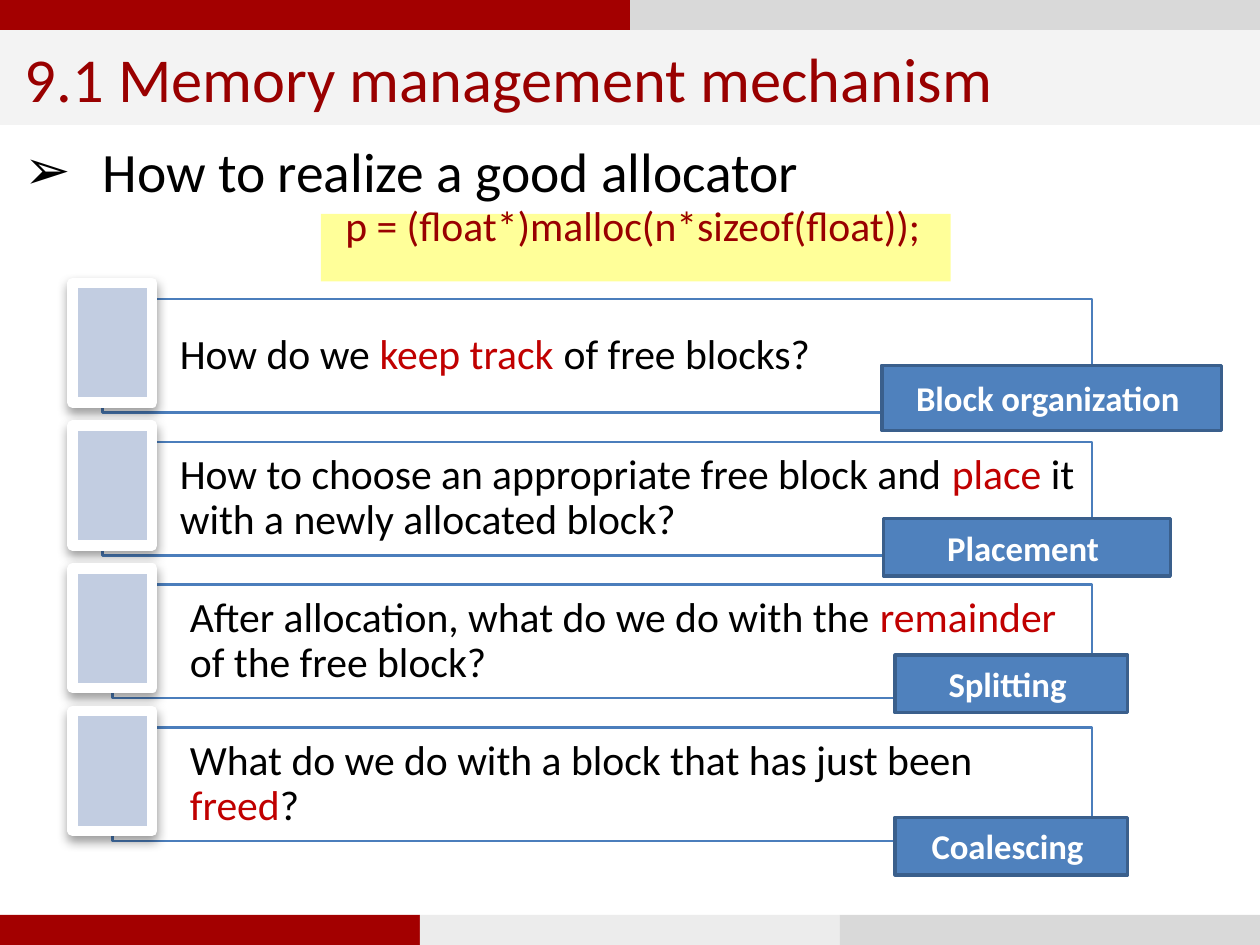
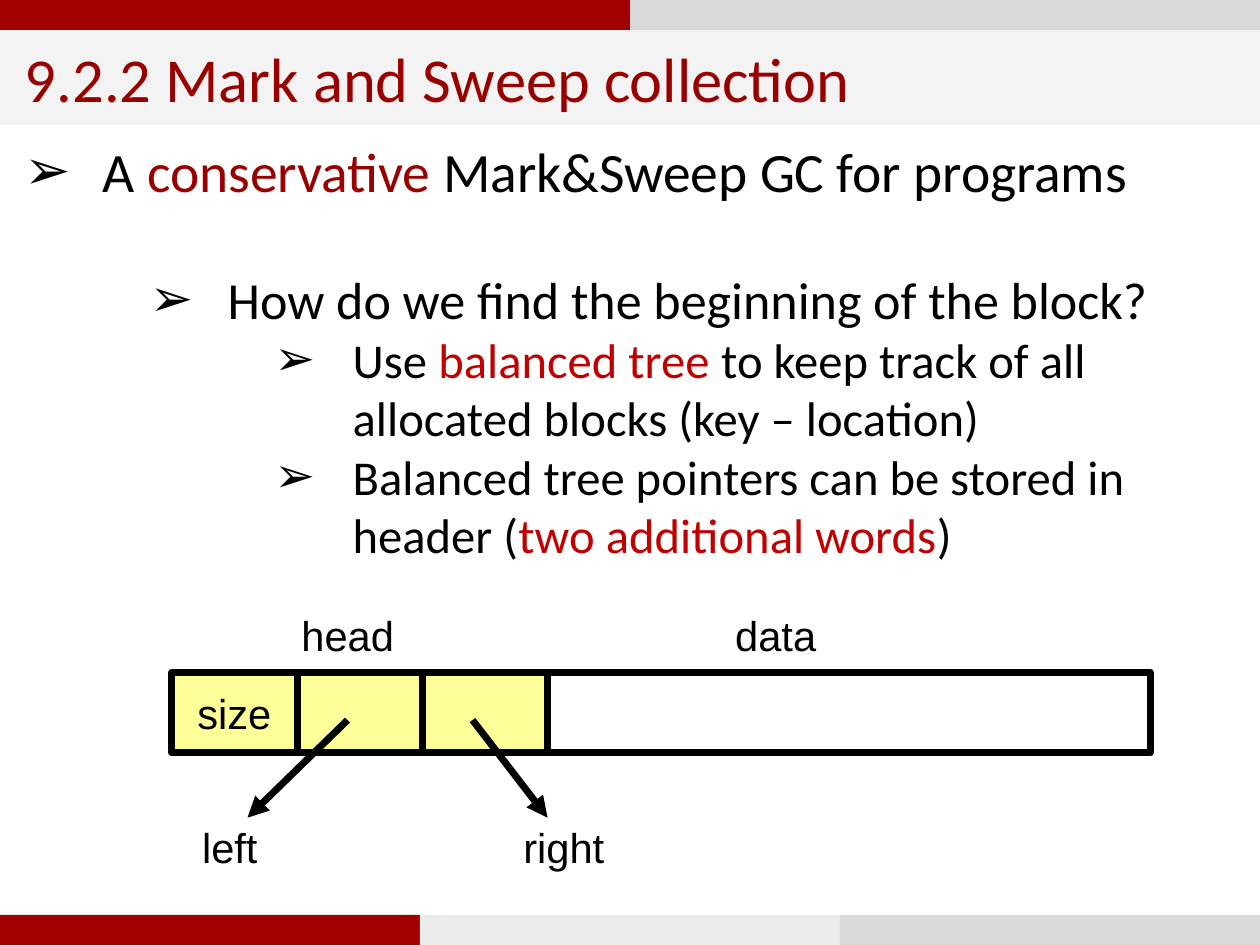
from lxml.etree import SubElement
from pptx import Presentation
from pptx.dml.color import RGBColor
from pptx.enum.shapes import MSO_CONNECTOR, MSO_SHAPE
from pptx.enum.text import MSO_ANCHOR, MSO_AUTO_SIZE, PP_ALIGN
from pptx.oxml.ns import qn
from pptx.util import Pt

COLORS = {
    "band": "A30000", "gray": "D9D9D9", "pale": "ECECEC", "title_band": "F3F3F3",
    "title": "990000", "key": "C00000", "text": "000000", "white": "FFFFFF",
    "yellow": "FFFF99", "panel_line": "4B7EBC", "icon": "C2CDE1",
    "badge": "4F81BD", "badge_line": "3A5F8C",
}
WIDTH, HEIGHT = 362.88, 272.16
BAND = 8.64
TITLE_HEIGHT = 27.36
CONTENT_TOP = BAND + TITLE_HEIGHT


def rgb(name):
    return RGBColor.from_string(COLORS[name])


class Deck:
    def __init__(self):
        self.prs = Presentation()
        self.prs.slide_width, self.prs.slide_height = Pt(WIDTH), Pt(HEIGHT)
        self.slide = None

    def new_slide(self, title):
        self.slide = self.prs.slides.add_slide(self.prs.slide_layouts[5])
        for y, names in ((0, ("band", "gray")),
                         (HEIGHT - BAND, ("band", "pale", "gray"))):
            part = WIDTH / len(names)
            for i, name in enumerate(names):
                self.box(i * part, y, part, BAND, name)
        heading = self.slide.shapes.title
        heading.left, heading.top = Pt(0), Pt(BAND)
        heading.width, heading.height = Pt(WIDTH), Pt(TITLE_HEIGHT)
        heading.fill.solid()
        heading.fill.fore_color.rgb = rgb("title_band")
        self.frame(heading, MSO_ANCHOR.MIDDLE)
        self.add_runs(heading.text_frame.paragraphs[0], [(title, "title")], 18)

    def frame(self, shape, anchor, insets=(7.2, 3.6, 7.2, 3.6), wrap=True):
        frame = shape.text_frame
        frame.auto_size = MSO_AUTO_SIZE.NONE
        frame.word_wrap = wrap
        frame.vertical_anchor = anchor
        (frame.margin_left, frame.margin_top,
         frame.margin_right, frame.margin_bottom) = map(Pt, insets)
        return frame

    def add_runs(self, paragraph, runs, size, font="Calibri", bold=False,
                 align=PP_ALIGN.LEFT):
        paragraph.alignment = align
        for text, color in runs:
            run = paragraph.add_run()
            run.text = text
            run.font.name, run.font.size, run.font.bold = font, Pt(size), bold
            run.font.color.rgb = rgb(color)

    def box(self, x, y, w, h, fill=None, line=None, weight=1):
        shape = self.slide.shapes.add_shape(
            MSO_SHAPE.RECTANGLE, Pt(x), Pt(y), Pt(w), Pt(h))
        if fill:
            shape.fill.solid()
            shape.fill.fore_color.rgb = rgb(fill)
        else:
            shape.fill.background()
        if line:
            shape.line.color.rgb = rgb(line)
            shape.line.width = Pt(weight)
        else:
            shape.line.fill.background()
        shape.shadow.inherit = False
        return shape

    def outline(self, items):
        body = self.slide.shapes.add_textbox(
            Pt(0), Pt(CONTENT_TOP), Pt(WIDTH), Pt(HEIGHT - BAND - CONTENT_TOP))
        frame = self.frame(body, MSO_ANCHOR.TOP)
        for i, (level, gap, runs) in enumerate(items):
            paragraph = frame.add_paragraph() if i else frame.paragraphs[0]
            paragraph.level = level
            props = paragraph._p.get_or_add_pPr()
            props.set("marL", str(Pt(22.5 + 36 * level)))
            props.set("indent", str(Pt(-22.5)))
            SubElement(props, qn("a:buFont"), typeface="Arial")
            SubElement(props, qn("a:buChar"), char="➢")
            if gap:
                paragraph.space_before = Pt(gap)
            self.add_runs(paragraph, runs, 16 - level)

    def code(self, x, y, w, h, text):
        strip = self.box(x, y, w, h, "yellow")
        frame = self.frame(strip, MSO_ANCHOR.MIDDLE, (7.2, 0, 3, 13))
        self.add_runs(frame.paragraphs[0], [(text, "title")], 12)

    def question(self, x, y, right, runs):
        panel = self.box(x, y, right - x, 32.7, "white", "panel_line", 0.75)
        fill = panel._element.spPr.find(qn("a:solidFill"))
        SubElement(fill[0], qn("a:alpha"), val="40000")
        frame = self.frame(panel, MSO_ANCHOR.MIDDLE, (22.3, 3.6, 3.6, 3.6))
        frame.paragraphs[0].line_spacing = 0.9
        self.add_runs(frame.paragraphs[0], runs, 12)
        icon = self.box(20.9, y - 4.7, 23, 34.5, "icon", "white", 3)
        effects = icon._element.spPr.find(qn("a:effectLst"))
        shadow = SubElement(effects, qn("a:outerShdw"), blurRad=str(Pt(3.1)),
                            dist=str(Pt(1.6)), dir="5400000", rotWithShape="0")
        tone = SubElement(shadow, qn("a:srgbClr"), val=COLORS["text"])
        SubElement(tone, qn("a:alpha"), val="38000")

    def badge(self, x, y, w, h, text):
        tag = self.box(x, y, w, h, "badge", "badge_line")
        frame = self.frame(tag, MSO_ANCHOR.MIDDLE)
        self.add_runs(frame.paragraphs[0], [(text, "white")], 10, bold=True,
                      align=PP_ALIGN.CENTER)

    def label(self, center, y, text):
        w = 40
        caption = self.slide.shapes.add_textbox(
            Pt(center - w / 2), Pt(y), Pt(w), Pt(21.6))
        frame = self.frame(caption, MSO_ANCHOR.TOP, wrap=False)
        self.add_runs(frame.paragraphs[0], [(text, "text")], 12, "Arial",
                      align=PP_ALIGN.CENTER)

    def line(self, x1, y1, x2, y2, arrow=False):
        link = self.slide.shapes.add_connector(
            MSO_CONNECTOR.STRAIGHT, Pt(x1), Pt(y1), Pt(x2), Pt(y2))
        link.line.color.rgb = rgb("text")
        link.line.width = Pt(2)
        props = link._element.spPr
        if arrow:
            SubElement(props.find(qn("a:ln")), qn("a:tailEnd"), type="triangle")
        SubElement(props, qn("a:effectLst"))


def allocator_slide(deck):
    deck.new_slide("9.1 Memory management mechanism")
    deck.outline([(0, 0, [("How to realize a good allocator", "text")])])
    questions = [
        (29.5, "How do we ", "keep track ", "of free blocks?"),
        (29.5, "How to choose an appropriate free block and ", "place",
         " it with a newly allocated block?"),
        (32.4, "After allocation, what do we do with the ", "remainder",
         " of the free block?"),
        (32.4, "What do we do with a block that has just been ", "freed", "?"),
    ]
    for row, (x, before, key, after) in enumerate(questions):
        deck.question(x, 86.2 + 41.1 * row, 314.5,
                      [(before, "text"), (key, "key"), (after, "text")])
    for x, y, w, h, answer in (
            (254, 105.2, 97.8, 18.8, "Block organization "),
            (254.5, 149.3, 82.6, 16.6, "Placement "),
            (257.8, 188.7, 67, 16.6, "Splitting "),
            (257.8, 235.4, 67, 16.6, "Coalescing ")):
        deck.badge(x, y, w, h, answer)
    deck.code(92.4, 61.6, 181.4, 19.5, "p = (float*)malloc(n*sizeof(float));")


def collection_slide(deck):
    deck.new_slide("9.2.2 Mark and Sweep collection")
    deck.outline([
        (0, 0, [("A ", "text"), ("conservative ", "title"),
                ("Mark&Sweep GC for programs", "text")]),
        (1, 18.3, [("How do we find the beginning of the block?", "text")]),
        (2, 0, [("Use ", "text"), ("balanced tree", "key"),
                (" to keep track of all allocated blocks (key – location)", "text")]),
        (2, 0, [("Balanced tree pointers can be stored in header (", "text"),
                ("two additional words", "key"), (")", "text")]),
    ])
    left, top, word, height = 49.5, 193.7, 36.1, 23.2
    data_left = left + 3 * word
    deck.box(left, top, 3 * word, height, "yellow", "text", 2)
    for i in (1, 2):
        deck.line(left + i * word, top, left + i * word, top + height)
    deck.box(data_left, top, 173.5, height, None, "text", 2)
    for start, end in ((100.1, 71.3), (136.1, 157.7)):
        deck.line(start, 207.4, end, 235.5, arrow=True)
    for center, y, text in (
            (100.2, 172.2, "head"), (223.4, 172.2, "data"),
            (66.2, 233.2, "left"), (162.4, 233.2, "right"),
            (left + word / 2, 194.6, "size")):
        deck.label(center, y, text)


def main():
    deck = Deck()
    allocator_slide(deck)
    collection_slide(deck)
    deck.prs.save("out.pptx")


if __name__ == "__main__":
    main()
